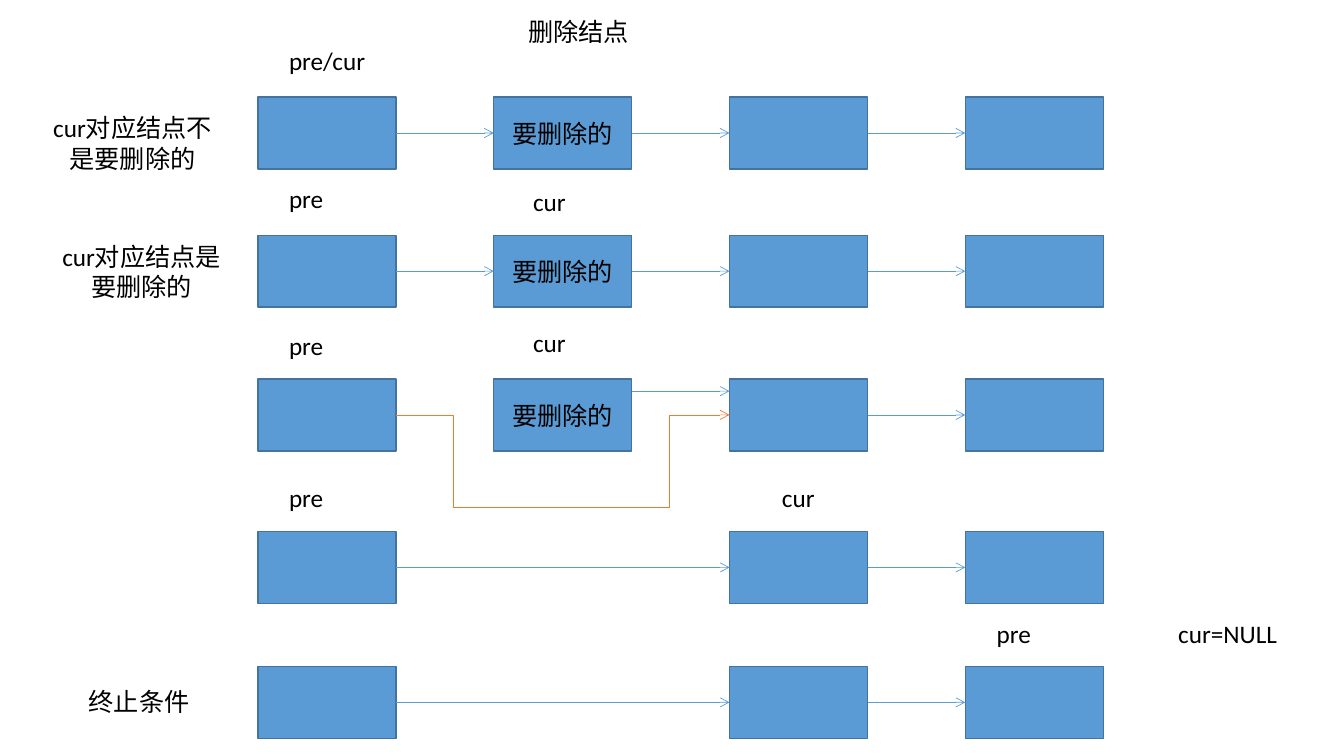
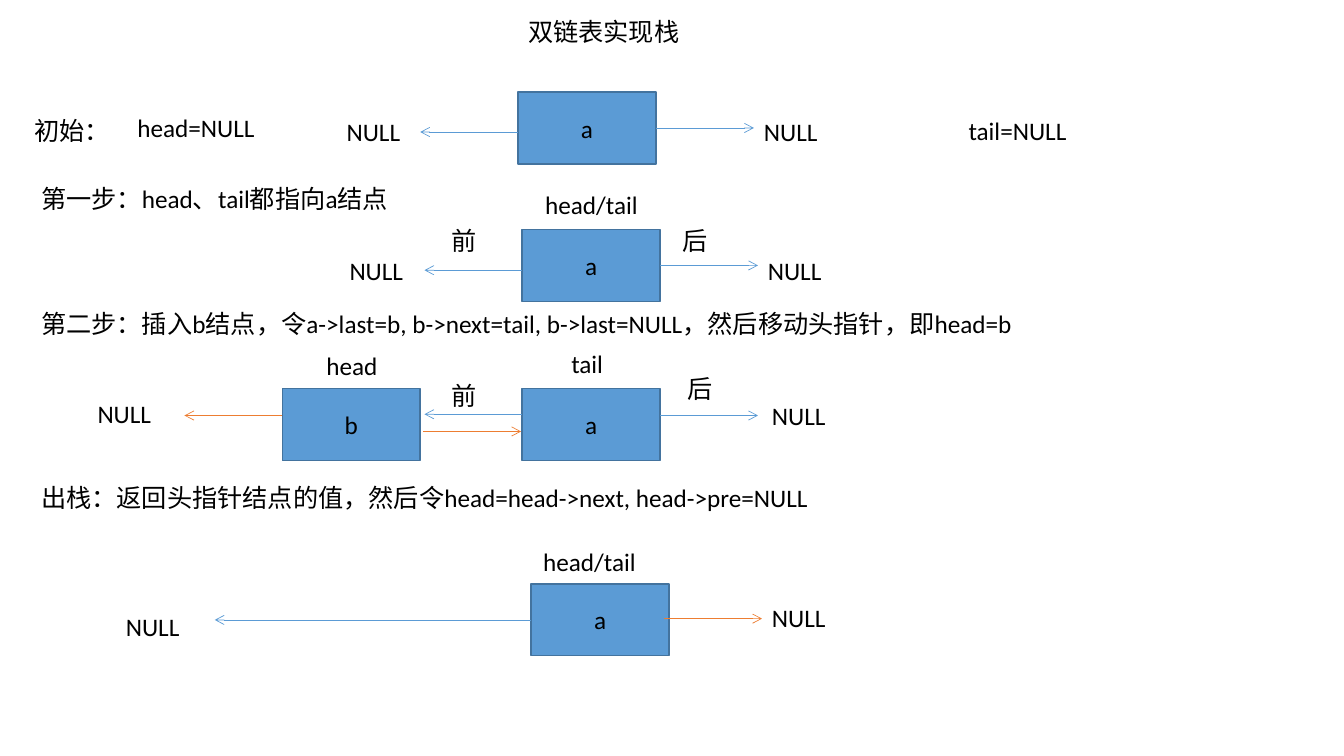
from lxml.etree import SubElement
from pptx import Presentation
from pptx.dml.color import RGBColor
from pptx.enum.shapes import MSO_CONNECTOR, MSO_SHAPE
from pptx.enum.text import MSO_ANCHOR, MSO_AUTO_SIZE, PP_ALIGN
from pptx.oxml.ns import qn
from pptx.util import Pt

BLUE, EDGE, ORANGE, BLACK = "5B9BD5", "43739E", "ED7D31", "000000"
LEFT, CENTER = PP_ALIGN.LEFT, PP_ALIGN.CENTER
NODE_WIDTH, NODE_HEIGHT, GAP = 98.6, 51.4, 69.8
LABEL_HEIGHT = 28.8


def color(value):
    """Turn a hex string into a colour."""
    return RGBColor.from_string(value)


def apply(target, values):
    """Set every attribute named in a dict."""
    for name, value in values.items():
        setattr(target, name, value)


class Board:
    """Hold the diagram style and the slide being drawn."""

    font = {"name": "Calibri", "size": Pt(18), "bold": False}
    frame = {"word_wrap": True, "auto_size": MSO_AUTO_SIZE.NONE,
             "margin_left": Pt(7.2), "margin_right": Pt(7.2),
             "margin_top": Pt(3.6), "margin_bottom": Pt(3.6)}

    def __init__(self):
        """Start a wide deck."""
        self.deck = Presentation()
        apply(self.deck, {"slide_width": Pt(960), "slide_height": Pt(540)})
        self.page = None

    def set_text(self, box, text, align, anchor):
        """Put one styled paragraph into a shape."""
        apply(box.text_frame, {**self.frame, "vertical_anchor": anchor})
        para = box.text_frame.paragraphs[0]
        para.alignment = align
        span = para.add_run()
        span.text = text
        apply(span.font, self.font)
        span.font.color.rgb = color(BLACK)

    def start(self, title):
        """Add a slide with its title."""
        self.page = self.deck.slides.add_slide(self.deck.slide_layouts[5])
        box = self.page.shapes.title
        apply(box, {"left": Pt(370), "top": Pt(7.9),
                    "width": Pt(221), "height": Pt(LABEL_HEIGHT)})
        self.set_text(box, title, LEFT, MSO_ANCHOR.TOP)

    def label(self, text, left, top, width, align=LEFT, height=LABEL_HEIGHT):
        """Add a free text label."""
        box = self.page.shapes.add_textbox(Pt(left), Pt(top), Pt(width), Pt(height))
        self.set_text(box, text, align, MSO_ANCHOR.TOP)

    def node(self, left, top, text=""):
        """Add a list node and return it."""
        box = self.page.shapes.add_shape(
            MSO_SHAPE.RECTANGLE, Pt(left), Pt(top), Pt(NODE_WIDTH), Pt(NODE_HEIGHT))
        box.shadow.inherit = False
        box.fill.solid()
        box.fill.fore_color.rgb = color(BLUE)
        box.line.color.rgb = color(EDGE)
        box.line.width = Pt(1)
        if text:
            self.set_text(box, text, CENTER, MSO_ANCHOR.MIDDLE)
        return box

    def arrow(self, start, end, stroke=BLUE, bend=None, head=True):
        """Add a pointer between two points; bend is the elbow's share."""
        kind = MSO_CONNECTOR.STRAIGHT if bend is None else MSO_CONNECTOR.ELBOW
        line = self.page.shapes.add_connector(kind, *map(Pt, (*start, *end)))
        line.line.color.rgb = color(stroke)
        line.line.width = Pt(0.5)
        properties = line._element.spPr
        if head:
            SubElement(properties.find(qn("a:ln")), qn("a:tailEnd"), type="arrow")
        SubElement(properties, qn("a:effectLst"))
        if bend is not None:
            guides = properties.find(qn("a:prstGeom")).get_or_add_avLst()
            SubElement(guides, qn("a:gd"), name="adj1", fmla=f"val {round(bend * 100000)}")
        return line

    def link(self, source, target):
        """Glue a pointer from one node to the next."""
        line = self.arrow((0, 0), (0, 0))
        line.begin_connect(source, 3)
        line.end_connect(target, 1)


def column(index):
    """Give the left edge of a node column."""
    return 184.3 + index * (NODE_WIDTH + GAP)


def draw_deletion(board):
    """Draw the steps of deleting a node."""
    board.start("删除结点")
    doomed = "要删除的"
    # top, columns used, text of the second column, first linked position
    rows = [(69.3, (0, 1, 2, 3), doomed, 0), (168, (0, 1, 2, 3), doomed, 0),
            (270.7, (0, 1, 2, 3), doomed, 2), (379.6, (0, 2, 3), "", 0),
            (476, (0, 2, 3), "", 0)]
    for top, columns, text, first in rows:
        nodes = [board.node(column(i), top, text if i == 1 else "") for i in columns]
        for source, target in zip(nodes[first:], nodes[first + 1:]):
            board.link(source, target)

    # The bypass runs below the node being deleted.
    board.arrow((column(1) - GAP, 296.4), (406, 362.4), ORANGE, 0.33, head=False)
    board.arrow((404.5, 362.4), (column(2), 296.4), ORANGE, 0.63)
    board.arrow((column(2) - GAP, 279.4), (column(2), 279.4))

    for text, left, top, width in [
            ("pre/cur", 199.4, 28.8, 78), ("pre", 199.4, 127.4, 69),
            ("cur", 373.7, 129.6, 40.3), ("pre", 199.4, 232.6, 69),
            ("cur", 373.7, 230.4, 40.3), ("pre", 199.4, 341.3, 69),
            ("cur", 551.5, 341.3, 40.3), ("pre", 704.9, 437.8, 69),
            ("cur=NULL", 834.5, 437.8, 97.2), ("终止条件", 56.2, 486.7, 110)]:
        board.label(text, left, top, width)
    board.label("cur对应结点不是要删除的", 30.2, 77, 128.9, CENTER, 51.1)
    board.label("cur对应结点是要删除的", 36.7, 168.5, 128.9, CENTER, 51.1)


def draw_stack(board):
    """Draw a stack kept in a doubly linked list."""
    board.start("双链表实现栈")
    for left, top, text in [(370, 65.7, "a"), (373, 164, "a"), (373, 277.7, "a"),
                            (201.6, 277.7, "b"), (379.4, 417, "a")]:
        board.node(left, top, text)

    # start, height, signed reach, colour
    for left, top, reach, stroke in [
            (468.7, 91.4, GAP, BLUE), (370, 94.3, -GAP, BLUE),
            (471.6, 189.6, GAP, BLUE), (373, 193, -GAP, BLUE),
            (471.6, 296.8, GAP, BLUE), (373, 295.9, -GAP, BLUE),
            (201.6, 296.8, -GAP, ORANGE), (302.4, 308.2, GAP, ORANGE),
            (379.4, 442.8, -226, BLUE), (474.5, 441.9, GAP, ORANGE)]:
        board.arrow((left, top), (left + reach, top), stroke)

    for left, top in [(240.5, 79.9), (538.6, 79.9), (242.6, 178.6), (541.4, 178.6),
                      (62.6, 280.8), (544.3, 282.2), (82.8, 433.4), (544.3, 427)]:
        board.label("NULL", left, top, 60.5)
    for left, top, text in [(315.4, 157.7, "前"), (480.2, 157.7, "后"),
                            (315.4, 267.8, "前"), (483.8, 262.8, "后")]:
        board.label(text, left, top, 49.7)
    for text, top, width in [
            ("第一步：head、tail都指向a结点", 127.4, 296),
            ("第二步：插入b结点，令a->last=b, b->next=tail, b->last=NULL，"
             "然后移动头指针，即head=b", 216.7, 871),
            ("出栈：返回头指针结点的值，然后令head=head->next, head->pre=NULL", 341.3, 761)]:
        board.label(text, 22.3, top, width)
    for text, left, top, width, align in [
            ("初始：", 17.3, 78.5, 59, LEFT), ("head=NULL", 78.5, 77, 123, CENTER),
            ("tail=NULL", 671.8, 78.5, 110, CENTER), ("head/tail", 382.3, 131.8, 83.5, LEFT),
            ("tail", 401, 245.5, 37.4, LEFT), ("head", 226, 247, 54, LEFT),
            ("head/tail", 380.9, 386.6, 97, LEFT)]:
        board.label(text, left, top, width, align)


board = Board()
draw_deletion(board)
draw_stack(board)
board.deck.save("out.pptx")
